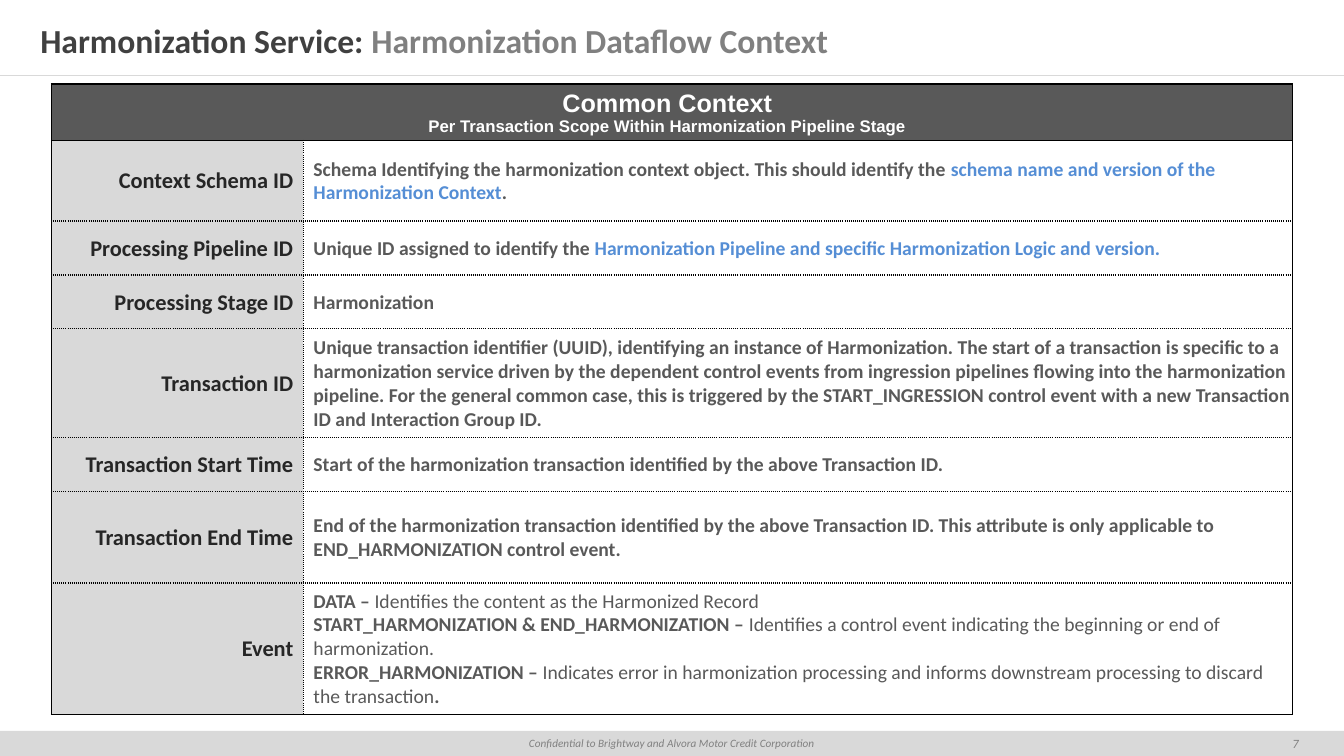
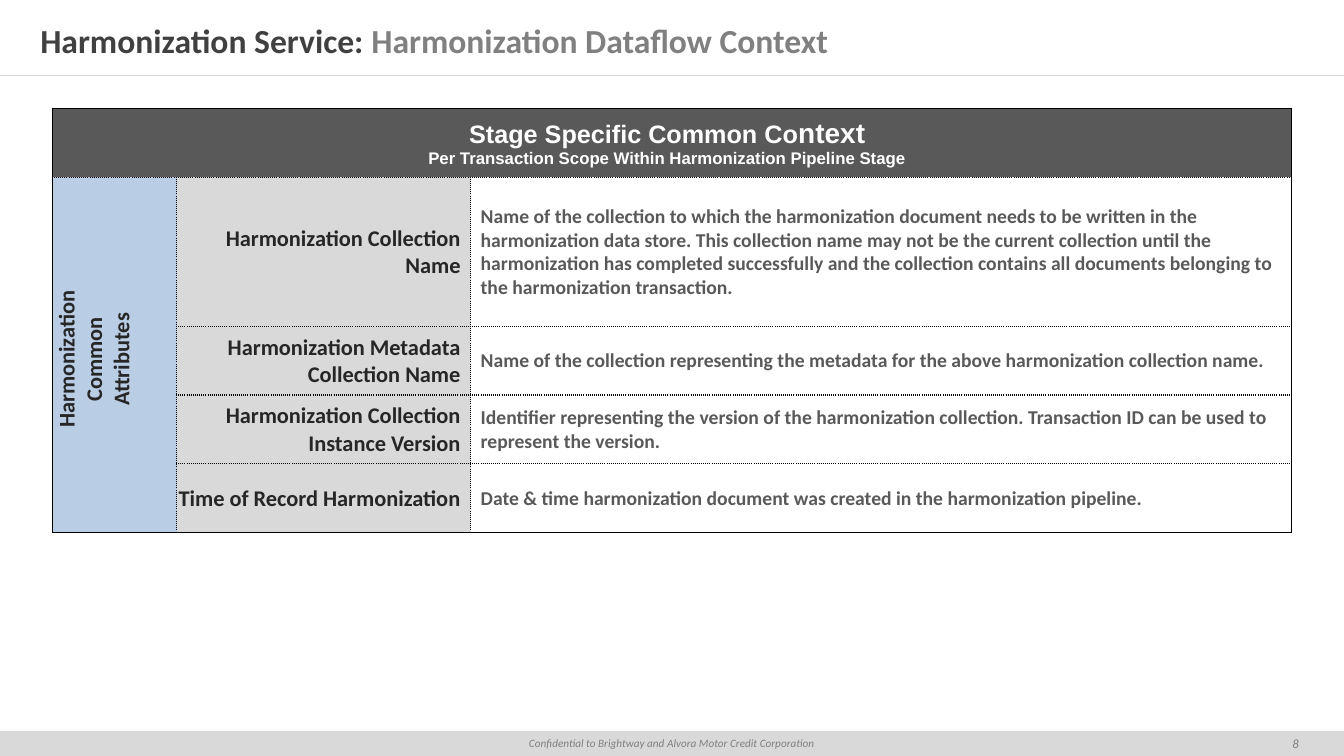
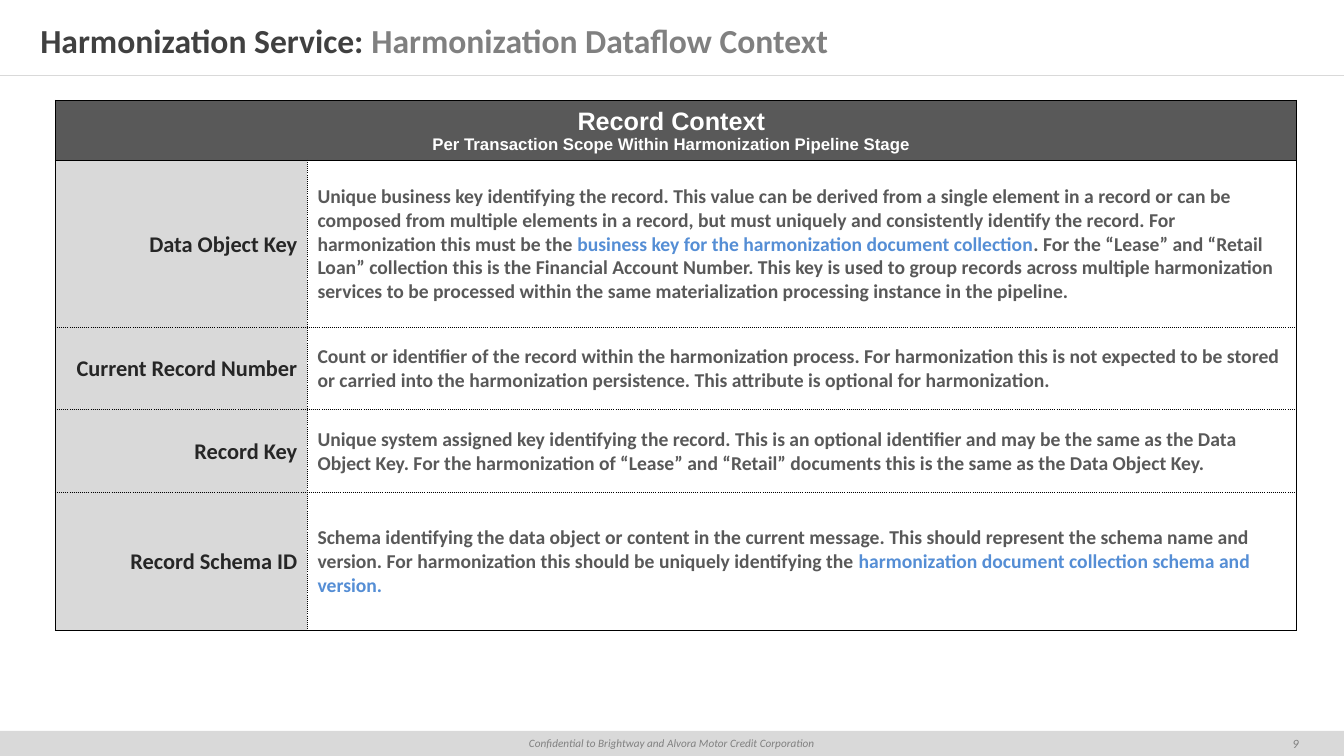
import pptx
import pptx.dml.color
import pptx.enum.shapes
import pptx.enum.text
import pptx.oxml
import pptx.oxml.ns
import pptx.util
from lxml import etree

Pt = pptx.util.Pt
RGB = pptx.dml.color.RGBColor
ALIGN = pptx.enum.text.PP_ALIGN
MIDDLE = pptx.enum.text.MSO_ANCHOR.MIDDLE

WHITE = RGB(0xFF, 0xFF, 0xFF)
LIGHT = RGB(0xD9, 0xD9, 0xD9)
GREY = RGB(0x80, 0x80, 0x80)
BODY = RGB(0x59, 0x59, 0x59)
TITLE = RGB(0x40, 0x40, 0x40)
LABEL = RGB(0x26, 0x26, 0x26)
BLUE = RGB(0x55, 0x8E, 0xD5)
PALE_BLUE = RGB(0xB9, 0xCD, 0xE5)

SLIDE_W, SLIDE_H = 960, 540
FOOTER_TOP, FOOTER_H = 522, 18
FIRST_NUMBER = 7
SOLID, DOTTED = "solid", "sysDot"
SUBTITLE = "Per Transaction Scope Within Harmonization Pipeline Stage"
FOOTER = "Confidential to Brightway and Alvora Motor Credit Corporation"

# Text between bars takes the alternate style of its cell
COMMON = dict(
    title="Common Context", at=(36.7, 60), cols=[180, 706.4],
    heights=[40.3, 57.6, 38.6, 38.4, 77.8, 38.4, 65.5, 93.6], top_width=1.5,
    rows=[
        ("Context Schema ID",
         "Schema Identifying the harmonization context object. This should identify the "
         "|schema name and version of the Harmonization Context|."),
        ("Processing Pipeline ID",
         "Unique ID assigned to identify the "
         "|Harmonization Pipeline and specific Harmonization Logic and version."),
        ("Processing Stage ID", "Harmonization"),
        ("Transaction ID",
         "Unique transaction identifier (UUID), identifying an instance of Harmonization. "
         "The start of a transaction is specific to a harmonization service driven by the "
         "dependent control events from ingression pipelines flowing into the harmonization "
         "pipeline. For the general common case, this is triggered by the START_INGRESSION "
         "control event with a new Transaction ID and Interaction Group ID."),
        ("Transaction Start Time",
         "Start of the harmonization transaction identified by the above Transaction ID."),
        ("Transaction End Time",
         "End of the harmonization transaction identified by the above Transaction ID. "
         "This attribute is only applicable to END_HARMONIZATION control event."),
        ("Event",
         "DATA – |Identifies the content as the Harmonized Record\n"
         "START_HARMONIZATION & END_HARMONIZATION – |Identifies a control event indicating "
         "the beginning or end of harmonization.\n"
         "ERROR_HARMONIZATION – |Indicates error in harmonization processing and informs "
         "downstream processing to discard the transaction|.",
         dict(bold=False)),
    ])

STAGE = dict(
    title="Stage Specific Common Co|ntext", at=(37.4, 77.6), cols=[88.8, 210, 586.1],
    heights=[49, 106.6, 49, 49, 49], header_line=DOTTED,
    group="Harmonization\nCommon\nAttributes",
    rows=[
        ("Harmonization Collection Name",
         "Name of the collection to which the harmonization document needs to be written in "
         "the harmonization data store. This collection name may not be the current "
         "collection until the harmonization has completed successfully and the collection "
         "contains all documents belonging to the harmonization transaction."),
        ("Harmonization Metadata Collection Name",
         "Name of the collection representing the metadata for the above harmonization "
         "collection name."),
        ("Harmonization Collection Instance Version",
         "Identifier representing the version of the harmonization collection. Transaction "
         "ID can be used to represent the version."),
        ("Time of Record Harmonization",
         "Date & time harmonization document was created in the harmonization pipeline."),
    ])

RECORD = dict(
    title="Record Context", at=(39.6, 71.8), cols=[180, 706.4],
    heights=[42.8, 119.2, 59, 59, 98.4],
    rows=[
        ("Data Object Key",
         "Unique business key identifying the record. This value can be derived from a "
         "single element in a record or can be composed from multiple elements in a record, "
         "but must uniquely and consistently identify the record. For harmonization this "
         "must be the |business key for the harmonization document collection|. For the "
         "“Lease” and “Retail Loan” collection this is the Financial Account Number. This "
         "key is used to group records across multiple harmonization services to be "
         "processed within the same materialization processing instance in the pipeline."),
        ("Current Record Number",
         "Count or identifier of the record within the harmonization process. For "
         "harmonization this is not expected to be stored or carried into the harmonization "
         "persistence. This attribute is optional for harmonization."),
        ("Record Key",
         "Unique system assigned key identifying the record. This is an optional identifier "
         "and may be the same as the Data Object Key. For the harmonization of “Lease” and "
         "“Retail” documents this is the same as the Data Object Key."),
        ("Record Schema ID",
         "Schema identifying the data object or content in the current message. This should "
         "represent the schema name and version. For harmonization this should be uniquely "
         "identifying the |harmonization document collection schema and version."),
    ])


# Text
def style_font(font, size=None, color=None, bold=None, italic=None, name=None):
    if size is not None:
        font.size = Pt(size)
    if color is not None:
        font.color.rgb = color
    if bold is not None:
        font.bold = bold
    if italic is not None:
        font.italic = italic
    if name is not None:
        font.name = name


def write(p, text, align, alt=None, name="Calibri", **style):
    p.alignment = align
    style_font(p.font, name=name, **style)
    for i, part in enumerate(text.split("|")):
        r = p.add_run()
        r.text = part
        if i % 2:
            style_font(r.font, **alt)


def write_lines(tf, text, align, **style):
    for i, line in enumerate(text.split("\n")):
        p = tf.add_paragraph() if i else tf.paragraphs[0]
        write(p, line, align, **style)


def set_insets(tf, left, top, right, bottom):
    tf.margin_left, tf.margin_top = Pt(left), Pt(top)
    tf.margin_right, tf.margin_bottom = Pt(right), Pt(bottom)


# Shared layout: title place, rule and footer band
def style_layout(layout, slide):
    for ph in list(layout.placeholders):
        if ph.placeholder_format.idx:
            ph.element.getparent().remove(ph.element)
    title = layout.placeholders[0]
    title.left, title.top, title.width, title.height = Pt(0), Pt(11.5), Pt(SLIDE_W), Pt(34.6)
    title.text_frame.vertical_anchor = MIDDLE
    set_insets(title.text_frame, 28.8, 14.4, 28.8, 14.4)

    band = slide.shapes.add_shape(pptx.enum.shapes.MSO_SHAPE.RECTANGLE,
                                  Pt(0), Pt(FOOTER_TOP), Pt(SLIDE_W), Pt(FOOTER_H))
    band.shadow.inherit = False
    band.fill.solid()
    band.fill.fore_color.rgb = LIGHT
    band.line.fill.background()
    band.text_frame.vertical_anchor = MIDDLE
    write(band.text_frame.paragraphs[0], FOOTER, ALIGN.CENTER,
          size=8, color=GREY, italic=True)

    rule = slide.shapes.add_connector(pptx.enum.shapes.MSO_CONNECTOR.STRAIGHT,
                                      Pt(0), Pt(54), Pt(SLIDE_W), Pt(54))
    rule.line.color.rgb = LIGHT
    rule.line.width = Pt(0.25)
    etree.SubElement(rule.element.spPr, pptx.oxml.ns.qn("a:effectLst"))
    for sp in (band, rule):
        layout.shapes.element.append(sp.element)


def add_title(slide):
    tf = slide.shapes.title.text_frame
    tf.auto_size = pptx.enum.text.MSO_AUTO_SIZE.NONE
    write(tf.paragraphs[0], "Harmonization Service: |Harmonization Dataflow Context",
          ALIGN.LEFT, alt=dict(color=GREY), size=24, color=TITLE, bold=True)


def add_number(slide, number):
    tf = slide.shapes.add_textbox(Pt(900), Pt(FOOTER_TOP), Pt(51), Pt(FOOTER_H)).text_frame
    tf.word_wrap = True
    tf.vertical_anchor = MIDDLE
    set_insets(tf, 7.2, 7.2, 7.2, 7.2)
    write(tf.paragraphs[0], str(number), ALIGN.CENTER, size=9, color=GREY, italic=True)


# Table
def set_borders(cell, **edges):
    tcPr = cell._tc.get_or_add_tcPr()
    for side in "LRTB":
        dash, width = edges[side]
        tcPr.append(pptx.oxml.parse_xml(
            f'<a:ln{side} {pptx.oxml.ns.nsdecls("a")} w="{Pt(width)}">'
            '<a:solidFill><a:srgbClr val="000000"/></a:solidFill>'
            f'<a:prstDash val="{dash}"/></a:ln{side}>'))


def format_cell(cell, fill, left=0.7, right=7.2):
    cell.fill.solid()
    cell.fill.fore_color.rgb = fill
    cell.vertical_anchor = MIDDLE
    set_insets(cell, left, 0.7, right, 0)


def add_context_table(slide, title, at, cols, heights, rows,
                      group=None, header_line=SOLID, top_width=1):
    n_rows, n_cols = len(heights), len(cols)
    table = slide.shapes.add_table(n_rows, n_cols, Pt(at[0]), Pt(at[1]),
                                   Pt(sum(cols)), Pt(sum(heights))).table
    table.first_row = table.horz_banding = False
    for col, width in zip(table.columns, cols):
        col.width = Pt(width)
    for row, height in zip(table.rows, heights):
        row.height = Pt(height)

    # Solid frame, dotted lines inside; merged cells share their outer edges
    def row_edge(i):
        if i == 0:
            return SOLID, top_width
        return (header_line if i == 1 else SOLID if i == n_rows else DOTTED), 1

    def col_edge(i):
        return (SOLID if i in (0, n_cols) else DOTTED), 1

    for i in range(n_rows):
        for j in range(n_cols):
            top, bottom, left, right = i, i + 1, j, j + 1
            if i == 0:
                left, right = 0, n_cols
            elif group and j == 0:
                top, bottom = 1, n_rows
            set_borders(table.cell(i, j), L=col_edge(left), R=col_edge(right),
                        T=row_edge(top), B=row_edge(bottom))

    # Header
    header = table.cell(0, 0)
    header.merge(table.cell(0, n_cols - 1))
    format_cell(header, BODY)
    heading = dict(name="Arial", color=WHITE, bold=True)
    tf = header.text_frame
    write(tf.paragraphs[0], title, ALIGN.CENTER, alt=dict(size=20), size=18, **heading)
    write(tf.add_paragraph(), SUBTITLE, ALIGN.CENTER, size=12, **heading)

    # Rotated group name
    label_style = dict(size=16, color=LABEL, bold=True)
    if group:
        side = table.cell(1, 0)
        side.merge(table.cell(n_rows - 1, 0))
        format_cell(side, PALE_BLUE)
        side._tc.get_or_add_tcPr().set("vert", "vert270")
        write_lines(side.text_frame, group, ALIGN.CENTER, **label_style)

    # Label and description rows
    for i, (label, text, *alt) in enumerate(rows, 1):
        name, description = table.cell(i, n_cols - 2), table.cell(i, n_cols - 1)
        format_cell(name, LIGHT)
        write_lines(name.text_frame, label, ALIGN.RIGHT, **label_style)
        format_cell(description, WHITE, left=7.2, right=0.7)
        write_lines(description.text_frame, text, ALIGN.LEFT, size=14, color=BODY,
                    bold=True, alt=alt[0] if alt else dict(color=BLUE))


def main():
    prs = pptx.Presentation()
    prs.slide_width, prs.slide_height = Pt(SLIDE_W), Pt(SLIDE_H)
    layout = prs.slide_layouts[5]
    for i, context in enumerate((COMMON, STAGE, RECORD)):
        slide = prs.slides.add_slide(layout)
        if i == 0:
            style_layout(layout, slide)
        add_title(slide)
        add_number(slide, FIRST_NUMBER + i)
        add_context_table(slide, **context)
    prs.save("out.pptx")


if __name__ == "__main__":
    main()
